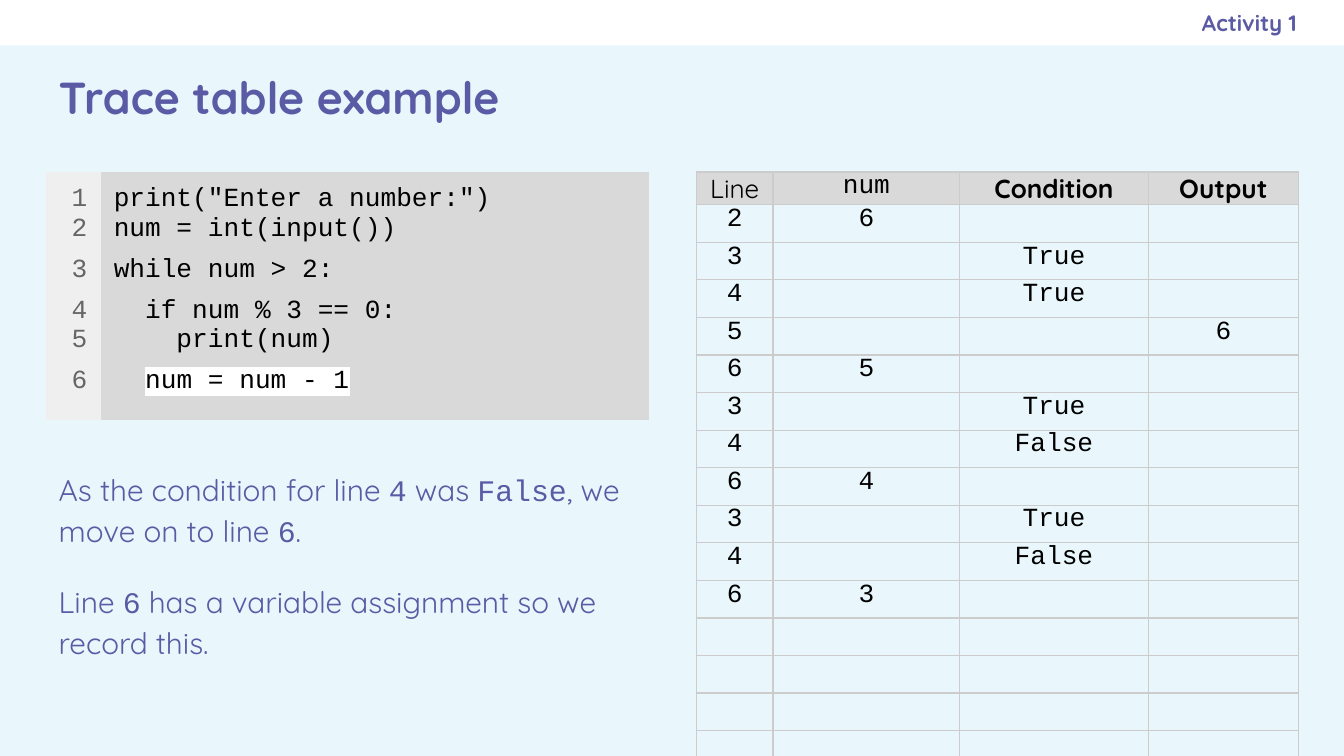
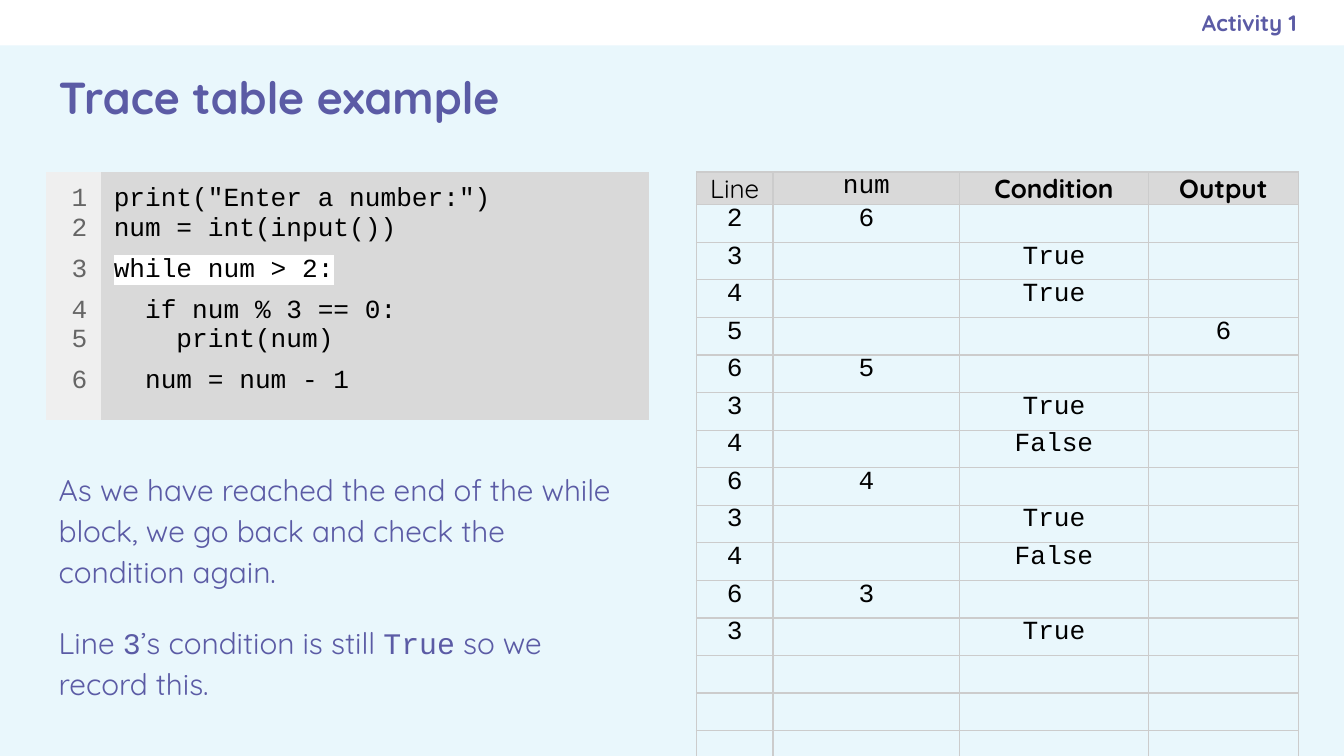
from dataclasses import dataclass

from lxml.etree import SubElement
from pptx import Presentation
from pptx.dml.color import RGBColor as RGB
from pptx.enum.shapes import MSO_SHAPE as Shape
from pptx.enum.text import MSO_ANCHOR as Anchor, PP_ALIGN as Align
from pptx.oxml.ns import qn
from pptx.util import Cm, Pt


@dataclass(frozen=True)
class Theme:
    background: str = "E9F7FC"
    band: str = "FFFFFF"
    accent: str = "5B5BA5"
    ink: str = "000000"
    line_number: str = "666666"
    gutter: str = "EFEFEF"
    panel: str = "D9D9D9"
    grid: str = "CCCCCC"
    highlight: str = "FFFFFF"
    sans: str = "Quicksand"
    mono: str = "Courier New"
    title_size: int = 24
    body_size: int = 16
    code_size: int = 14
    label_size: int = 12


theme = Theme()
NO_STYLE = "{2D5ABB26-0587-4C30-8999-92F81FD0307C}"
MARGIN = 0.86
BAND_HEIGHT = 0.86
TABLE_TOP = 3.25
INSET = 0.25

CODE = [
    'print("Enter a number:")',
    "num = int(input())",
    "while num > 2:",
    "  if num % 3 == 0:",
    "    print(num)",
    "  num = num - 1",
]
SPACED_LINES = (3, 4, 6)

HEADERS = [
    ("Line", theme.sans, False),
    ("num", theme.mono, False),
    ("Condition", theme.sans, True),
    ("Output", theme.sans, True),
]
TRACE_COLUMNS = [1.45, 3.53, 3.56, 2.84]
TRACE_ROWS = 16
TRACE = [
    ("2", "6", "", ""),
    ("3", "", "True", ""),
    ("4", "", "True", ""),
    ("5", "", "", "6"),
    ("6", "5", "", ""),
    ("3", "", "True", ""),
    ("4", "", "False", ""),
    ("6", "4", "", ""),
    ("3", "", "True", ""),
    ("4", "", "False", ""),
    ("6", "3", "", ""),
    ("3", "", "True", ""),
]

# Each step: highlighted code line, filled trace rows, explanation (code in backticks)
STEPS = [
    (6, 11, [
        "As the condition for line `4` was `False`, we move on to line `6`.",
        "Line `6` has a variable assignment so we record this.",
    ]),
    (3, 12, [
        "As we have reached the end of the while block, "
        "we go back and check the condition again.",
        "Line `3`’s condition is still `True` so we record this.",
    ]),
]


def style(paragraph, font, size, color, bold=False, align=Align.LEFT):
    paragraph.alignment = align
    paragraph.font.name = font
    paragraph.font.size = Pt(size)
    paragraph.font.bold = bold
    paragraph.font.color.rgb = RGB.from_string(color)


def add_plain_table(slide, left, widths, heights, inset):
    frame = slide.shapes.add_table(
        len(heights), len(widths), Cm(left), Cm(TABLE_TOP),
        Cm(sum(widths)), Cm(sum(heights)))
    table = frame.table
    table.first_row = table.horz_banding = False
    table._tbl.tblPr.find(qn("a:tableStyleId")).text = NO_STYLE
    for column, width in zip(table.columns, widths):
        column.width = Cm(width)
    for row, height in zip(table.rows, heights):
        row.height = Cm(height)
    for cell in table.iter_cells():
        cell.margin_left = cell.margin_right = Cm(inset)
        cell.margin_top = cell.margin_bottom = Cm(inset)
    return table


presentation = Presentation()
presentation.slide_width = Cm(25.4)
presentation.slide_height = Cm(14.29)

for current_line, filled_rows, explanation in STEPS:
    slide = presentation.slides.add_slide(presentation.slide_layouts[6])
    slide.background.fill.solid()
    slide.background.fill.fore_color.rgb = RGB.from_string(theme.background)

    # White band at the top
    band = slide.shapes.add_shape(
        Shape.RECTANGLE, 0, 0, presentation.slide_width, Cm(BAND_HEIGHT))
    band.shadow.inherit = False
    band.fill.solid()
    band.fill.fore_color.rgb = RGB.from_string(theme.band)
    band.line.fill.background()

    # Title and activity label
    for text, box, size, align, right_inset in [
        ("Trace table example", (MARGIN, BAND_HEIGHT, 23.67, 1.93),
         theme.title_size, Align.LEFT, INSET),
        ("Activity 1", (14.6, 0, 9.91, BAND_HEIGHT),
         theme.label_size, Align.RIGHT, 0),
    ]:
        frame = slide.shapes.add_textbox(*map(Cm, box)).text_frame
        frame.word_wrap = True
        frame.vertical_anchor = Anchor.MIDDLE
        frame.margin_right = Cm(right_inset)
        frame.margin_top = frame.margin_bottom = Cm(INSET)
        frame.text = text
        style(frame.paragraphs[0], theme.sans, size, theme.accent, True, align)

    # Trace table
    heights = [0.62] + [0.71] * TRACE_ROWS
    trace = add_plain_table(slide, 13.16, TRACE_COLUMNS, heights, 0)
    for cell in trace.iter_cells():
        for side in ("a:lnL", "a:lnR", "a:lnT", "a:lnB"):
            border = SubElement(cell._tc.get_or_add_tcPr(), qn(side), w=str(Pt(0.75)))
            paint = SubElement(border, qn("a:solidFill"))
            SubElement(paint, qn("a:srgbClr"), val=theme.grid)
        cell.fill.background()
    for column, (header, font, bold) in enumerate(HEADERS):
        cell = trace.cell(0, column)
        cell.fill.solid()
        cell.fill.fore_color.rgb = RGB.from_string(theme.panel)
        cell.text = header
        style(cell.text_frame.paragraphs[0], font, theme.code_size,
              theme.ink, bold, Align.CENTER)
    blank_rows = [("",) * len(HEADERS)] * (TRACE_ROWS - filled_rows)
    for row, values in enumerate(TRACE[:filled_rows] + blank_rows, start=1):
        for column, value in enumerate(values):
            paragraph = trace.cell(row, column).text_frame.paragraphs[0]
            style(paragraph, theme.mono, theme.code_size, theme.ink,
                  align=Align.CENTER)
            if value:
                paragraph.add_run().text = value
            else:  # keeps an empty cell from stretching its row
                SubElement(paragraph._p, qn("a:endParaRPr"),
                           sz=str(theme.code_size * 100))

    # Code listing with line numbers
    listing = add_plain_table(slide, MARGIN, [1.04, 10.36], [4.46], INSET)
    numbers = [str(number) for number in range(1, len(CODE) + 1)]
    for column, (lines, fill, color, align) in enumerate([
        (numbers, theme.gutter, theme.line_number, Align.RIGHT),
        (CODE, theme.panel, theme.ink, Align.LEFT),
    ]):
        cell = listing.cell(0, column)
        cell.fill.solid()
        cell.fill.fore_color.rgb = RGB.from_string(fill)
        cell.text = "\n".join(lines)
        for number, paragraph in enumerate(cell.text_frame.paragraphs, start=1):
            style(paragraph, theme.mono, theme.code_size, color, align=align)
            if number in SPACED_LINES:
                paragraph.space_before = Pt(6)

    # Highlight the current line, leaving its indent plain
    paragraph = listing.cell(0, 1).text_frame.paragraphs[current_line - 1]
    code = CODE[current_line - 1]
    statement = code.lstrip()
    indent = code[:-len(statement)]
    run = paragraph.runs[0]
    if indent:
        run.text = indent
        run = paragraph.add_run()
        run.text = statement
    marker = SubElement(run._r.get_or_add_rPr(), qn("a:highlight"))
    SubElement(marker, qn("a:srgbClr"), val=theme.highlight)

    # Explanation
    frame = slide.shapes.add_textbox(
        Cm(MARGIN), Cm(8.56), Cm(11.38), Cm(4.75)).text_frame
    frame.word_wrap = True
    frame.margin_top = frame.margin_bottom = Cm(INSET)
    for index, text in enumerate(explanation):
        paragraph = frame.add_paragraph() if index else frame.paragraphs[0]
        style(paragraph, theme.sans, theme.body_size, theme.accent)
        paragraph.line_spacing = 1.15
        if index:
            paragraph.space_before = paragraph.space_after = Pt(16)
        for position, part in enumerate(text.split("`")):
            run = paragraph.add_run()
            run.text = part
            if position % 2:
                run.font.name = theme.mono

presentation.save("out.pptx")
